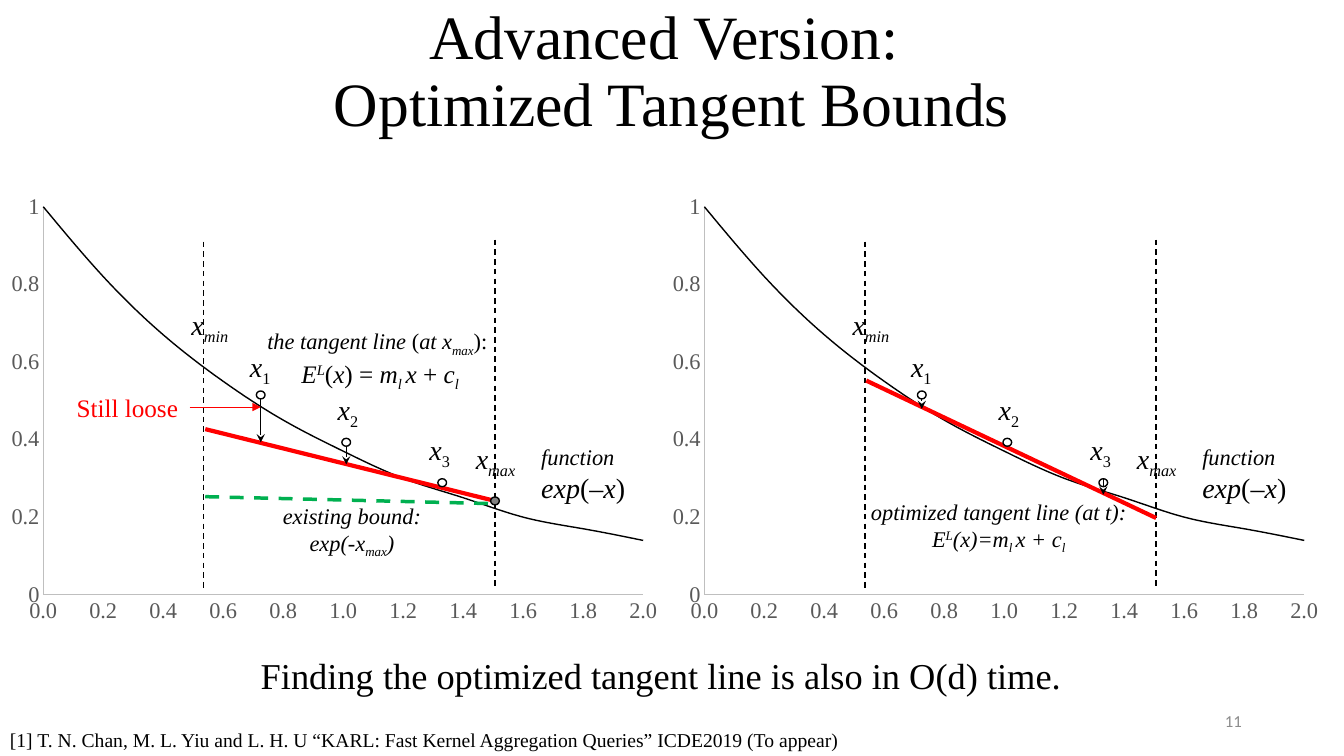
from lxml.etree import SubElement
from pptx import Presentation
from pptx.chart.data import XyChartData
from pptx.dml.color import RGBColor
from pptx.enum.chart import XL_CHART_TYPE as ChartType, XL_TICK_MARK as Tick
from pptx.enum.dml import MSO_LINE_DASH_STYLE as Dash
from pptx.enum.shapes import MSO_CONNECTOR_TYPE as Link, MSO_SHAPE as Shape
from pptx.enum.text import MSO_ANCHOR as Anchor, MSO_AUTO_SIZE as Fit, PP_ALIGN as Align
from pptx.oxml.ns import qn
from pptx.util import Cm, Pt

COLORS = {"ink": "000000", "axis": "BFBFBF", "tick": "595959", "red": "FF0000",
          "green": "00B050", "gray": "808080", "number": "8C8C8C", "paper": "FFFFFF"}
SERIF = "Times New Roman"
EXP_CURVE = [1, 0.82, 0.67, 0.55, 0.45, 0.37, 0.3, 0.25, 0.2, 0.17, 0.14]
POINTS = {"1": (0.725, 0.515), "2": (1.01, 0.393), "3": (1.33, 0.289)}
X_MIN, X_MAX = 0.535, 1.506
PANEL_W, PANEL_H = 16.94, 11.28
PLOT_X, PLOT_Y, PLOT_W, PLOT_H = 1.11, 0.54, 15.12, 9.78


def color(key):
    """Return the named colour."""
    return RGBColor.from_string(COLORS[key])


def write(slide, box, lines, size=16, font=SERIF, ink="ink", align=Align.LEFT,
          anchor=Anchor.TOP, wrap=True, spacing=None, grow=True):
    """Write lines of (size, runs); a run is (text, marks) with i, _ and ^ as marks."""
    frame = slide.shapes.add_textbox(*map(Cm, box)).text_frame
    frame.word_wrap = wrap
    frame.vertical_anchor = anchor
    frame.auto_size = Fit.SHAPE_TO_FIT_TEXT if grow else Fit.NONE
    for index, line in enumerate(lines):
        line_size, runs = (size, [(line, "")]) if isinstance(line, str) else line
        paragraph = frame.paragraphs[0] if index == 0 else frame.add_paragraph()
        paragraph.alignment = align
        paragraph.line_spacing = spacing
        for words, marks in runs:
            run = paragraph.add_run()
            run.text = words
            run.font.size, run.font.name = Pt(line_size), font
            run.font.italic = "i" in marks
            run.font.color.rgb = color(ink)
            for mark, shift in (("_", "-25000"), ("^", "30000")):
                if mark in marks:
                    run.font._element.set("baseline", shift)


def place(panel, point):
    """Turn a point of the plot into a place on the slide, in cm."""
    left, top = panel
    x, y = point
    return left + PLOT_X + x / 2 * PLOT_W, top + PLOT_Y + (1 - y) * PLOT_H


def draw_line(slide, panel, start, end, ink="ink", width=1, dash=None, head=None):
    """Draw a line between two points of the plot."""
    ends = [Cm(v) for point in (start, end) for v in place(panel, point)]
    link = slide.shapes.add_connector(Link.STRAIGHT, *ends)
    link.line.color.rgb = color(ink)
    link.line.width = Pt(width)
    if dash:
        link.line.dash_style = dash
    if head:
        SubElement(link.line._get_or_add_ln(), qn("a:tailEnd")).set("type", head)
    SubElement(link._element.spPr, qn("a:effectLst"))


def draw_marker(slide, panel, point, fill="paper"):
    """Draw a small circle centred on a point of the plot."""
    x, y = place(panel, point)
    circle = slide.shapes.add_shape(Shape.OVAL, Cm(x - 0.11), Cm(y - 0.1), Cm(0.22), Cm(0.2))
    circle.shadow.inherit = False
    circle.fill.solid()
    circle.fill.fore_color.rgb = color(fill)
    circle.line.color.rgb = color("ink")
    circle.line.width = Pt(1)


def draw_curve(slide, panel):
    """Add the chart of exp(-x) that fills the panel."""
    data = XyChartData()
    series = data.add_series("Series 1")
    for step, value in enumerate(EXP_CURVE):
        series.add_data_point(round(step * 0.2, 1), value)
    chart = slide.shapes.add_chart(ChartType.XY_SCATTER_SMOOTH_NO_MARKERS, *map(Cm, panel),
                                   Cm(PANEL_W), Cm(PANEL_H), data).chart
    chart.has_title = chart.has_legend = False
    chart.font.name, chart.font.size = SERIF, Pt(16)
    chart.plots[0].vary_by_categories = False
    curve = chart.plots[0].series[0]
    curve.format.line.color.rgb = color("ink")
    curve.format.line.width = Pt(1)
    curve._element.find(qn("c:smooth")).set("val", "1")
    for axis, top, pattern in ((chart.category_axis, 2, "#,##0.0"),
                               (chart.value_axis, 1, "General")):
        axis.minimum_scale, axis.maximum_scale, axis.major_unit = 0, top, 0.2
        axis.has_major_gridlines = False
        axis.major_tick_mark = axis.minor_tick_mark = Tick.NONE
        axis.tick_labels.number_format = pattern
        axis.tick_labels.number_format_is_linked = False
        axis.tick_labels.font.size, axis.tick_labels.font.name = Pt(16), SERIF
        axis.tick_labels.font.color.rgb = color("tick")
        axis.format.line.color.rgb = color("axis")
        axis.format.line.width = Pt(0.75)
    area = chart._chartSpace.chart.plotArea
    for old in area.findall(qn("c:layout")):
        area.remove(old)
    layout = SubElement(area, qn("c:layout"))
    area.insert(0, layout)
    manual = SubElement(layout, qn("c:manualLayout"))
    for tag, value in (("layoutTarget", "inner"), ("xMode", "edge"), ("yMode", "edge"),
                       ("x", PLOT_X / PANEL_W), ("y", PLOT_Y / PANEL_H),
                       ("w", PLOT_W / PANEL_W), ("h", PLOT_H / PANEL_H)):
        SubElement(manual, qn(f"c:{tag}")).set("val", str(value))


def write_in(slide, panel, box, lines, **fmt):
    """Write text in a box measured from the corner of the panel."""
    left, top, width, height = box
    write(slide, (panel[0] + left, panel[1] + top, width, height), lines, **fmt)


def draw_panel(slide, panel, bound, drops):
    """Draw what both panels share: curve, limits, bound, points and their labels."""
    draw_curve(slide, panel)
    for x, low, high in ((X_MIN, 0.014, 0.91), (X_MAX, 0.02, 0.915)):
        draw_line(slide, panel, (x, high), (x, low), dash=Dash.DASH)
    draw_line(slide, panel, *bound, ink="red", width=3)
    for name, foot in drops.items():
        x, y = POINTS[name]
        draw_line(slide, panel, (x, y + 0.01), (x, foot), width=0.5, head="stealth")
    for point in POINTS.values():
        draw_marker(slide, panel, point)
    for name, left, top, width in (("min", 4.55, 3, 1.52), ("1", 6.07, 4.06, 1.07),
                                   ("2", 8.28, 5.13, 1.07), ("3", 10.59, 6.15, 1.07),
                                   ("max", 11.71, 6.38, 1.6)):
        marks = "_" if name in POINTS else "i_"
        write_in(slide, panel, (left, top, width, 1.12), [(20, [("x", "i"), (name, marks)])],
                 anchor=Anchor.MIDDLE, wrap=False,
                 align=Align.LEFT if name in POINTS else Align.CENTER)
    write_in(slide, panel, (13.41, 6.17, 2.64, 1.98),
             [(16, [("function", "i")]),
              (20, [("exp", "i"), ("(", ""), ("–x", "i"), (")", "")])],
             anchor=Anchor.BOTTOM, wrap=False, grow=False)


def draw_tangent_at_max(slide, panel):
    """Draw the left panel, with the tangent line at the maximum."""
    draw_panel(slide, panel, ((0.54, 0.427), (X_MAX, 0.242)), {"1": 0.393, "2": 0.336})
    write_in(slide, panel, (6.07, 3.53, 7.06, 1.73),
             [(16, [("the tangent line ", "i"), ("(", ""), ("at x", "i"), ("max", "i_"),
                    ("): ", "")]),
              (18, [("E", "i"), ("L", "i^"), ("(", ""), ("x", "i"), (") = ", ""), ("m", "i"),
                    ("l ", "i_"), ("x", "i"), (" + ", ""), ("c", "i"), ("l", "i_")])],
             align=Align.CENTER, anchor=Anchor.MIDDLE)
    draw_marker(slide, panel, (X_MAX, 0.242), fill="gray")
    draw_line(slide, panel, (0.54, 0.253), (1.5, 0.235), ink="green", width=2.5, dash=Dash.DASH)
    write_in(slide, panel, (6.86, 7.85, 4.06, 1.63),
             [(16, [("existing bound:", "i")]),
              (16, [("exp(-x", "i"), ("max", "i_"), (")", "i")])],
             align=Align.CENTER, wrap=False)
    write_in(slide, panel, (1.7, 5.08, 3.1, 1.02), ["Still loose"], size=18, ink="red")
    draw_line(slide, panel, (0.488, 0.484), (0.725, 0.484), ink="red", width=0.5,
              head="triangle")


def draw_optimized_tangent(slide, panel):
    """Draw the right panel, with the optimized tangent line."""
    draw_panel(slide, panel, ((0.54, 0.552), (X_MAX, 0.198)), {"1": 0.479})
    draw_line(slide, panel, (1.33, 0.3), (1.33, 0.258), width=0.5, head="stealth")
    write_in(slide, panel, (5, 7.75, 7.06, 1.63),
             [(16, [("optimized tangent line (at t):", "i")]),
              (16, [("E", "i"), ("L", "i^"), ("(x)=m", "i"), ("l ", "i_"), ("x + c", "i"),
                    ("l", "i_")])],
             align=Align.CENTER, wrap=False)


def main():
    """Build the slide and save it."""
    deck = Presentation()
    deck.slide_width, deck.slide_height = Cm(33.87), Cm(19.05)
    slide = deck.slides.add_slide(deck.slide_layouts[6])
    write(slide, (2.33, 0, 29.21, 3.68), ["Advanced Version: ", "Optimized Tangent Bounds"],
          size=44, align=Align.CENTER, anchor=Anchor.MIDDLE, spacing=0.9, grow=False)
    draw_optimized_tangent(slide, (16.64, 4.67))
    draw_tangent_at_max(slide, (-0.02, 4.67))
    write(slide, (6.32, 16.33, 23.22, 1.37),
          ["Finding the optimized tangent line is also in O(d) time."], size=26)
    write(slide, (23.93, 17.65, 7.62, 1.02), ["11"], size=12, font="Calibri", ink="number",
          align=Align.RIGHT, anchor=Anchor.MIDDLE, grow=False)
    write(slide, (0, 18.03, 33.87, 1.02),
          ["[1] T. N. Chan, M. L. Yiu and L. H. U “KARL: Fast Kernel Aggregation Queries” "
           "ICDE2019 (To appear)"], size=14, anchor=Anchor.BOTTOM, grow=False)
    deck.save("out.pptx")


if __name__ == "__main__":
    main()
